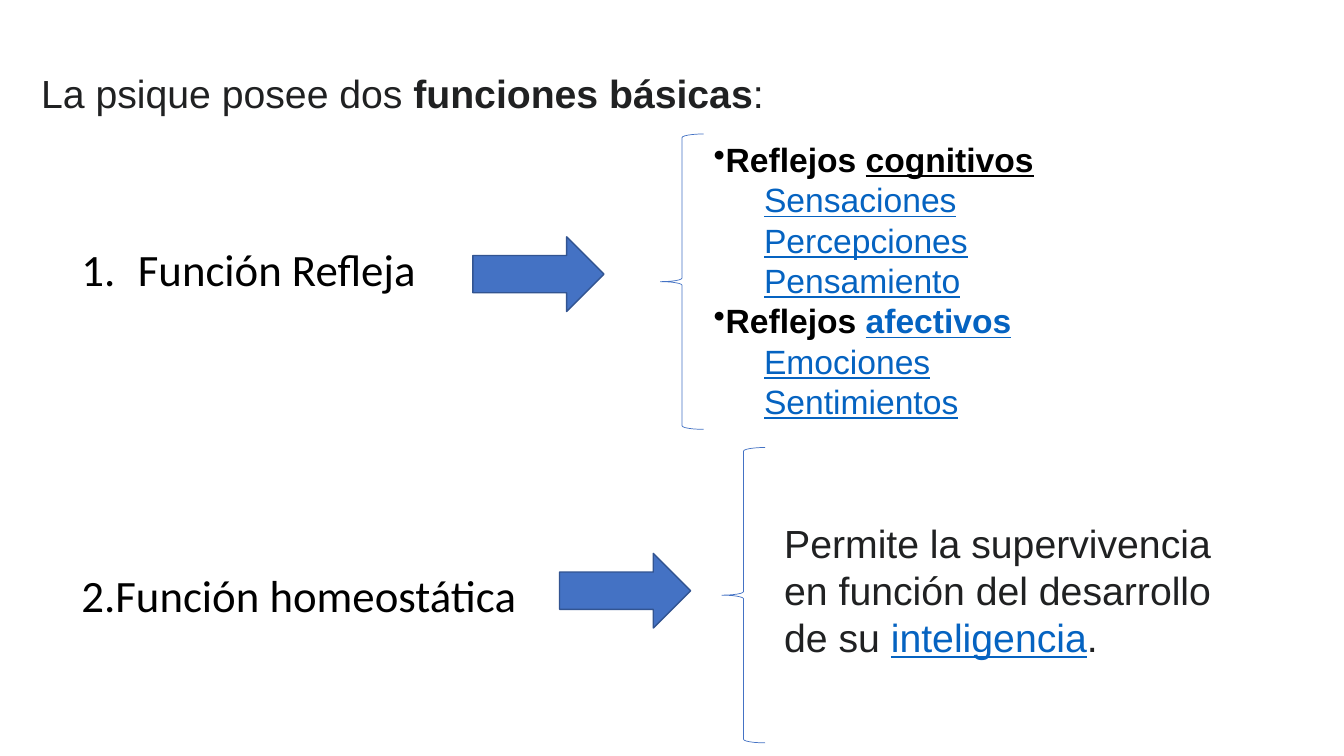
from lxml.etree import Element
from pptx import Presentation
from pptx.dml.color import RGBColor
from pptx.enum.shapes import MSO_SHAPE
from pptx.oxml.ns import qn
from pptx.util import Emu, Pt

INK, BLACK, LINK = "202122", "000000", "0563C1"
BLUE, EDGE = "4472C4", "325491"


def px(n):
    """Turn px, 100 to the inch, into EMU."""
    return Emu(n * 9144)


def rgb(code):
    return RGBColor.from_string(code)


class Page:
    def __init__(self, deck):
        self.shapes = deck.slides.add_slide(deck.slide_layouts[6]).shapes

    def text(self, box, font, size, color, lines):
        """Add a text box; each line is a dict with runs and optional bold, mark and indent."""
        frame = self.shapes.add_textbox(*map(px, box)).text_frame
        frame.word_wrap = True
        for i, line in enumerate(lines):
            para = frame.add_paragraph() if i else frame.paragraphs[0]
            para.font.name = font
            para.font.size = Pt(size)
            para.font.color.rgb = rgb(line.get("color", color))
            para.font.bold = line.get("bold", False)
            self.layout(para, line)
            for words, *style in line["runs"]:
                run = para.add_run()
                run.text = words
                if "bold" in style:
                    run.font.bold = True
                if "under" in style:
                    run.font.underline = True
                if "link" in style:
                    run.font.underline = True
                    run.font.color.rgb = rgb(LINK)

    def layout(self, para, line):
        """Set the indent and the bullet or number of a paragraph."""
        left, first = line.get("indent", (0, 0))
        props = para._p.get_or_add_pPr()
        props.set("marL", str(px(left)))
        props.set("indent", str(px(first)))
        if "mark" in line:
            tag, key, value = line["mark"]
            mark = Element(qn(tag))
            mark.set(key, value)
            props.insert(0, mark)

    def shape(self, kind, box, line, width, fill=None):
        item = self.shapes.add_shape(kind, *map(px, box))
        item.shadow.inherit = False
        item.line.color.rgb = rgb(line)
        item.line.width = Pt(width)
        if fill:
            item.fill.solid()
            item.fill.fore_color.rgb = rgb(fill)
        else:
            item.fill.background()

    def arrow(self, x, y):
        self.shape(MSO_SHAPE.RIGHT_ARROW, (x, y, 130, 74), EDGE, 1, BLUE)

    def brace(self, x, y):
        self.shape(MSO_SHAPE.LEFT_BRACE, (x, y, 43, 293), BLUE, 0.5)


def reflex(name, style, items):
    """Give the lines of one kind of reflex: a bulleted head, then linked items."""
    head = {"runs": [("Reflejos ",), (name, style)], "bold": True,
            "mark": ("a:buChar", "char", "•")}
    return [head] + [{"runs": [(item, "link")], "indent": (50, 0)}
                     for item in items]


def main():
    deck = Presentation()
    deck.slide_width, deck.slide_height = px(1333), px(750)
    page = Page(deck)

    page.text((31, 64, 823, 57), "Arial", 28, INK, [{"runs": [
        ("La psique posee dos ",), ("funciones básicas", "bold"), (":",)]}])

    page.text((71, 235, 380, 64), "Calibri", 32, BLACK, [{
        "runs": [("Función Refleja",)], "indent": (56, -56),
        "mark": ("a:buAutoNum", "type", "arabicPeriod")}])
    page.arrow(469, 235)
    page.brace(655, 133)
    page.text((698, 133, 635, 293), "Arial", 24, BLACK,
              reflex("cognitivos", "under",
                     ["Sensaciones", "Percepciones", "Pensamiento"])
              + reflex("afectivos", "link", ["Emociones", "Sentimientos"]))

    page.text((71, 558, 480, 64), "Calibri", 32, BLACK,
              [{"runs": [("2.Función homeostática",)]}])
    page.arrow(555, 549)
    page.brace(716, 444)
    page.text((768, 510, 473, 151), "Arial", 28, INK, [{"runs": [
        ("Permite la supervivencia en función del desarrollo de su ",),
        ("inteligencia", "link"), (".",)]}])

    deck.save("out.pptx")


if __name__ == "__main__":
    main()
